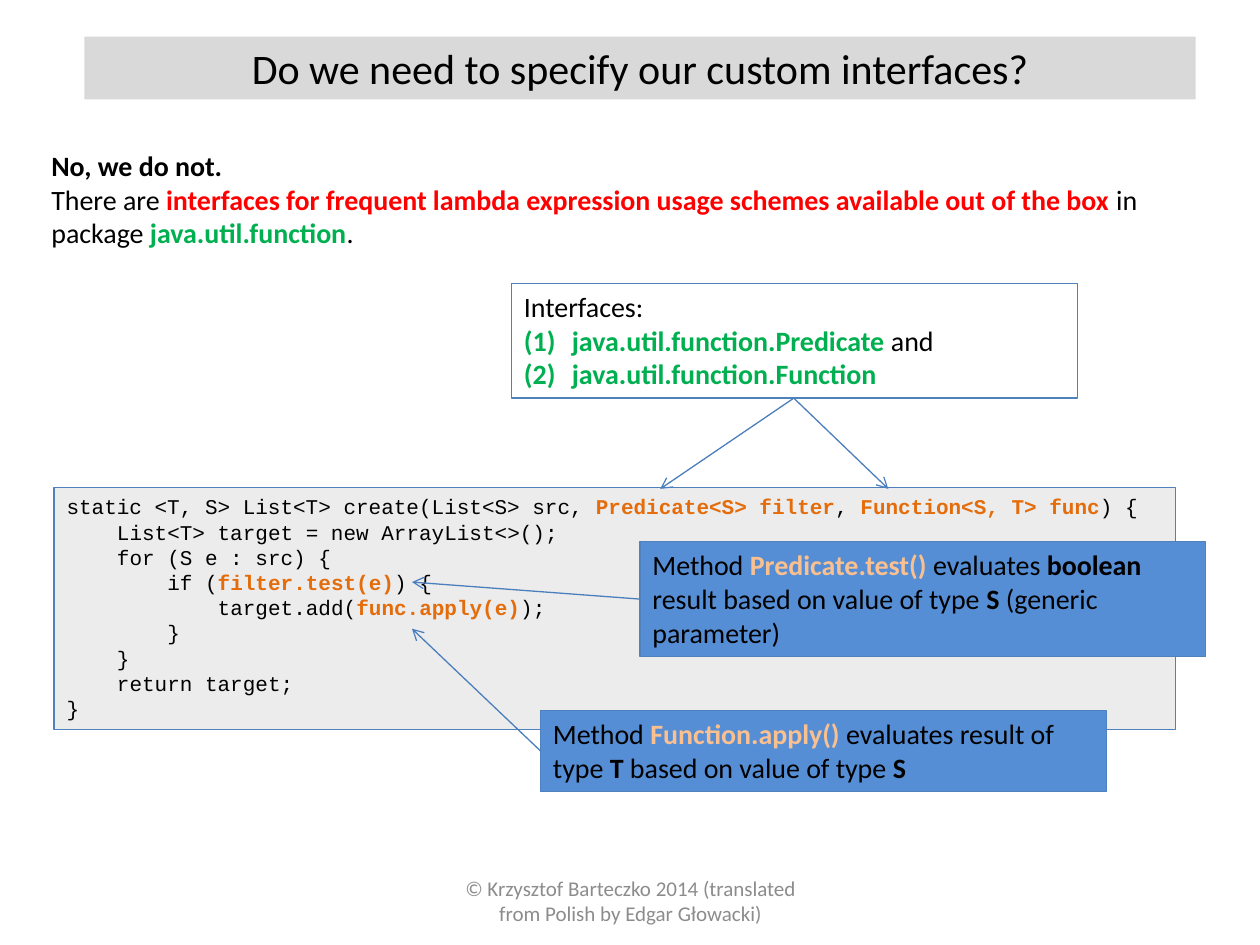
from dataclasses import dataclass

from lxml import etree
from pptx import Presentation
from pptx import util as u
from pptx.dml.color import RGBColor
from pptx.enum import shapes, text
from pptx.oxml.ns import qn


@dataclass(frozen=True)
class Theme:
    black: str = "000000"
    red: str = "FF0000"
    green: str = "00B050"
    orange: str = "E46C0A"
    peach: str = "FAC090"
    gray: str = "D9D9D9"
    footer_gray: str = "8C8C8C"
    blue: str = "558ED5"
    border: str = "4F81BD"
    arrow: str = "4B7EBC"
    body_font: str = "Calibri"
    code_font: str = "Courier New"
    title_size: float = 24
    body_size: float = 16
    small_size: float = 12
    line_width: float = 0.75
    code_indent: float = 0.4
    number_indent: float = 0.38


THEME = Theme()


def strong(words, color=THEME.black):
    """Mark words as a bold run in the given colour."""
    return words, color


class SlideBuilder:
    def __init__(self, slide, theme):
        self.slide = slide
        self.theme = theme

    def add_text(self, shape, paragraphs, size, font=None, color=None,
                 align=text.PP_ALIGN.LEFT, anchor=text.MSO_ANCHOR.TOP, grow=True):
        """Fill a shape; each paragraph is a list of plain strings and strong runs."""
        frame = shape.text_frame
        frame.word_wrap = True
        frame.vertical_anchor = anchor
        if grow:
            frame.auto_size = text.MSO_AUTO_SIZE.SHAPE_TO_FIT_TEXT
        for index, runs in enumerate(paragraphs):
            paragraph = frame.add_paragraph() if index else frame.paragraphs[0]
            paragraph.alignment = align
            paragraph.font.size = u.Pt(size)
            paragraph.font.name = font or self.theme.body_font
            paragraph.font.color.rgb = RGBColor.from_string(color or self.theme.black)
            for item in runs:
                run = paragraph.add_run()
                if isinstance(item, str):
                    run.text = item
                else:
                    run.text, run_color = item
                    run.font.bold = True
                    run.font.color.rgb = RGBColor.from_string(run_color)
        return frame.paragraphs

    def text_box(self, bounds, paragraphs, size, **style):
        shape = self.slide.shapes.add_textbox(*map(u.Inches, bounds))
        return self.add_text(shape, paragraphs, size, **style)

    def box(self, bounds, paragraphs, size, fill=None, opacity=None,
            border=True, **style):
        shape = self.slide.shapes.add_shape(
            shapes.MSO_SHAPE.RECTANGLE, *map(u.Inches, bounds))
        shape.shadow.inherit = False
        if fill:
            shape.fill.solid()
            shape.fill.fore_color.rgb = RGBColor.from_string(fill)
        else:
            shape.fill.background()
        if opacity:
            color = shape._element.spPr.find(qn("a:solidFill"))[0]
            etree.SubElement(color, qn("a:alpha"), val=str(opacity * 1000))
        if border:
            shape.line.color.rgb = RGBColor.from_string(self.theme.border)
            shape.line.width = u.Pt(self.theme.line_width)
        else:
            shape.line.fill.background()
        return self.add_text(shape, paragraphs, size, **style)

    def code(self, bounds, lines):
        """Add a code panel from (nesting level, runs) lines."""
        paragraphs = self.box(
            bounds, [runs for _, runs in lines], self.theme.small_size,
            fill=self.theme.gray, opacity=48, font=self.theme.code_font)
        for paragraph, (level, _) in zip(paragraphs, lines):
            indent = u.Inches(level * self.theme.code_indent)
            properties = paragraph._p.get_or_add_pPr()
            properties.set("marL", str(indent))
            properties.set("indent", "0")

    def number(self, paragraphs):
        indent = u.Inches(self.theme.number_indent)
        for paragraph in paragraphs:
            properties = paragraph._p.get_or_add_pPr()
            properties.set("marL", str(indent))
            properties.set("indent", str(-indent))
            bullet = etree.Element(qn("a:buAutoNum"), type="arabicParenBoth")
            properties.insert(0, bullet)

    def arrow(self, start, end):
        connector = self.slide.shapes.add_connector(
            shapes.MSO_CONNECTOR.STRAIGHT, *map(u.Inches, (*start, *end)))
        connector.line.color.rgb = RGBColor.from_string(self.theme.arrow)
        connector.line.width = u.Pt(self.theme.line_width)
        properties = connector._element.spPr
        etree.SubElement(properties.find(qn("a:ln")), qn("a:tailEnd"), type="arrow")
        etree.SubElement(properties, qn("a:effectLst"))


def main():
    presentation = Presentation()
    presentation.slide_width = u.Inches(10)
    presentation.slide_height = u.Inches(7.5)
    slide = presentation.slides.add_slide(presentation.slide_layouts[6])
    theme = THEME
    builder = SlideBuilder(slide, theme)
    center = text.PP_ALIGN.CENTER

    builder.text_box(
        (3.42, 6.95, 3.17, 0.4),
        [["© Krzysztof Barteczko 2014 (translated from Polish by Edgar Głowacki)"]],
        theme.small_size, color=theme.footer_gray, align=center,
        anchor=text.MSO_ANCHOR.MIDDLE, grow=False)
    builder.box(
        (0.67, 0.29, 8.82, 0.5), [["Do we need to specify our custom interfaces?"]],
        theme.title_size, fill=theme.gray, border=False, align=center)
    builder.text_box((0.31, 1.13, 9.37, 0.91), [
        [strong("No, we do not.")],
        ["There are ",
         strong("interfaces for frequent lambda expression usage schemes "
                "available out of the box", theme.red),
         " in package ", strong("java.util.function", theme.green), "."],
    ], theme.body_size)

    builder.code((0.43, 3.87, 8.9, 1.92), [
        (0, ["static <T, S> List<T> create(List<S> src, ",
             strong("Predicate<S> filter", theme.orange), ", ",
             strong("Function<S, T> func", theme.orange), ") {"]),
        (1, ["List<T> target = new ArrayList<>();"]),
        (1, ["for (S e : src) {"]),
        (2, ["if (", strong("filter.test(e)", theme.orange), ") {"]),
        (3, ["target.add(", strong("func.apply(e)", theme.orange), ");"]),
        (2, ["}"]),
        (1, ["}"]),
        (1, ["return target;"]),
        (0, ["}"]),
    ])

    interfaces = builder.box((4.06, 2.25, 4.49, 0.91), [
        ["Interfaces:"],
        [strong("java.util.function.Predicate", theme.green), " and"],
        [strong("java.util.function.Function", theme.green)],
    ], theme.body_size)
    builder.number(interfaces[1:])
    for parameter_x in (5.24, 7.05):
        builder.arrow((6.3, 3.16), (parameter_x, 3.88))

    callouts = [
        ((5.08, 4.3, 4.49, 0.91), (3.27, 4.62),
         ["Method ", strong("Predicate.test() ", theme.peach), "evaluates ",
          strong("boolean"), " result based on value of type ", strong("S"),
          " (generic parameter)"]),
        ((4.29, 5.64, 4.49, 0.64), (3.27, 4.99),
         ["Method ", strong("Function.apply() ", theme.peach),
          "evaluates result of type ", strong("T"),
          " based on value of type ", strong("S")]),
    ]
    for bounds, target, runs in callouts:
        left, top, _, height = bounds
        builder.box(bounds, [runs], theme.body_size, fill=theme.blue)
        builder.arrow((left, top + height / 2), target)

    presentation.save("out.pptx")


if __name__ == "__main__":
    main()
